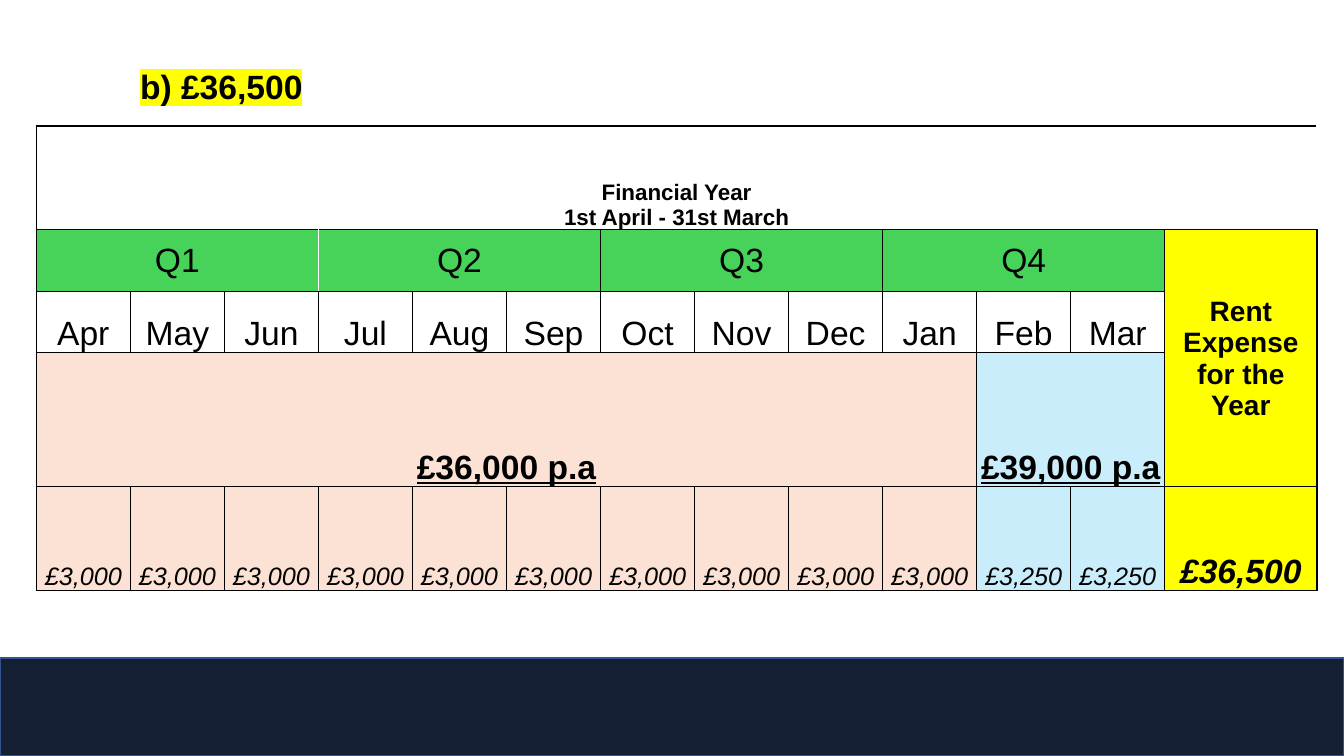
from lxml.etree import SubElement
from pptx import Presentation
from pptx.dml.color import RGBColor
from pptx.enum.shapes import MSO_SHAPE
from pptx.enum.text import MSO_ANCHOR, PP_ALIGN
from pptx.oxml.ns import qn
from pptx.util import Inches, Pt

BLACK = RGBColor(0x00, 0x00, 0x00)
WHITE = RGBColor(0xFF, 0xFF, 0xFF)
YELLOW = RGBColor(0xFF, 0xFF, 0x00)
GREEN = RGBColor(0x47, 0xD3, 0x59)
PEACH = RGBColor(0xFB, 0xE2, 0xD5)
SKY = RGBColor(0xCA, 0xED, 0xFB)
NAVY = RGBColor(0x14, 0x1F, 0x34)
BLUE = RGBColor(0x32, 0x54, 0x91)

# Content
ANSWER = "b) £36,500"
YEAR = "Financial Year\v1st April - 31st March"
QUARTERS = ["Q1", "Q2", "Q3", "Q4"]
MONTHS = ["Apr", "May", "Jun", "Jul", "Aug", "Sep",
          "Oct", "Nov", "Dec", "Jan", "Feb", "Mar"]
# (annual rent, monthly rent, number of months, colour)
RENTS = [("£36,000 p.a", "£3,000", 10, PEACH), ("£39,000 p.a", "£3,250", 2, SKY)]
EXPENSE, TOTAL = "Rent Expense for the Year", "£36,500"

# Grid, in inches
SLIDE_W, SLIDE_H = 13.33, 7.5
FOOTER_H = 0.97
TABLE_LEFT, TABLE_TOP = 0.36, 1.25
COLUMNS = [0.933] * 12 + [1.51]
ROWS = [1.03, 0.61, 0.61, 1.33, 1.03]
BLOCK_EDGES = (0, 10, 12, 13)  # column edges with a thicker rule


def write(paragraph, text, size=24, bold=False, italic=False, underline=False,
          align=PP_ALIGN.CENTER, highlight=None):
    paragraph.text = text
    paragraph.alignment = align
    for run in paragraph.runs:
        font = run.font
        font.size, font.bold, font.italic, font.underline = Pt(size), bold, italic, underline
        font.color.rgb = BLACK
        if highlight is not None:
            marker = SubElement(font._element, qn("a:highlight"))
            SubElement(marker, qn("a:srgbClr"), val=str(highlight))
        font.name = "Arial"


def add_borders(cell, widths):
    """Draw the given sides; line elements come before the cell's fill."""
    properties = cell._tc.get_or_add_tcPr()
    for position, (side, width) in enumerate(widths.items()):
        line = SubElement(properties, qn("a:ln" + side), w=str(Pt(width)))
        fill = SubElement(line, qn("a:solidFill"))
        SubElement(fill, qn("a:srgbClr"), val=str(BLACK))
        properties.insert(position, line)


def fill_block(table, row, col, text, rows=1, cols=1, fill=None,
               anchor=MSO_ANCHOR.BOTTOM, **text_format):
    cell = table.cell(row, col)
    if rows * cols > 1:
        cell.merge(table.cell(row + rows - 1, col + cols - 1))
    cell.margin_left = cell.margin_right = cell.margin_top = Inches(0.01)
    cell.margin_bottom = 0
    cell.vertical_anchor = anchor
    write(cell.text_frame.paragraphs[0], text, **text_format)
    for r in range(row, row + rows):
        for c in range(col, col + cols):
            part = table.cell(r, c)
            if fill is None:
                part.fill.background()
            else:
                part.fill.solid()
                part.fill.fore_color.rgb = fill
            edges = {"L": (c == col, 1 if c in BLOCK_EDGES else 0.5),
                     "R": (c == col + cols - 1, 1 if c + 1 in BLOCK_EDGES else 0.5),
                     "T": (r == row, 1),
                     "B": (r == row + rows - 1, 1)}
            add_borders(part, {side: width for side, (outer, width) in edges.items() if outer})


prs = Presentation()
prs.slide_width, prs.slide_height = Inches(SLIDE_W), Inches(SLIDE_H)
slide = prs.slides.add_slide(prs.slide_layouts[6])

# Footer band
footer = slide.shapes.add_shape(MSO_SHAPE.RECTANGLE, 0, Inches(SLIDE_H - FOOTER_H),
                                Inches(SLIDE_W), Inches(FOOTER_H))
footer.shadow.inherit = False
footer.fill.solid()
footer.fill.fore_color.rgb = NAVY
footer.line.color.rgb = BLUE
footer.line.width = Pt(1)

# Answer
answer = slide.shapes.add_textbox(Inches(0.79), Inches(0.4), Inches(11.79), Inches(1.21))
answer.text_frame.word_wrap = True
heading = answer.text_frame.paragraphs[0]
write(heading, ANSWER, bold=True, align=PP_ALIGN.LEFT, highlight=YELLOW)
heading.level = 1
heading.line_spacing = 1.5
heading._p.get_or_add_pPr().set("marL", str(Inches(0.5)))

# Rent table
frame = slide.shapes.add_table(len(ROWS), len(COLUMNS), Inches(TABLE_LEFT), Inches(TABLE_TOP),
                               Inches(sum(COLUMNS)), Inches(sum(ROWS)))
rent = frame.table
rent.first_row = rent.horz_banding = False
for column, width in zip(rent.columns, COLUMNS):
    column.width = Inches(width)
for row, height in zip(rent.rows, ROWS):
    row.height = Inches(height)

fill_block(rent, 0, 0, YEAR, cols=13, fill=WHITE, size=16, bold=True)
for i, quarter in enumerate(QUARTERS):
    fill_block(rent, 1, 3 * i, quarter, cols=3, fill=GREEN, anchor=MSO_ANCHOR.MIDDLE)
for i, month in enumerate(MONTHS):
    fill_block(rent, 2, i, month)

first = 0
for annual, monthly, count, colour in RENTS:
    fill_block(rent, 3, first, annual, cols=count, fill=colour, bold=True, underline=True)
    for i in range(first, first + count):
        fill_block(rent, 4, i, monthly, fill=colour, size=18, italic=True)
    first += count

fill_block(rent, 1, 12, EXPENSE, rows=3, fill=YELLOW, anchor=MSO_ANCHOR.MIDDLE,
           size=20, bold=True)
fill_block(rent, 4, 12, TOTAL, fill=YELLOW, bold=True, italic=True)

prs.save("out.pptx")
